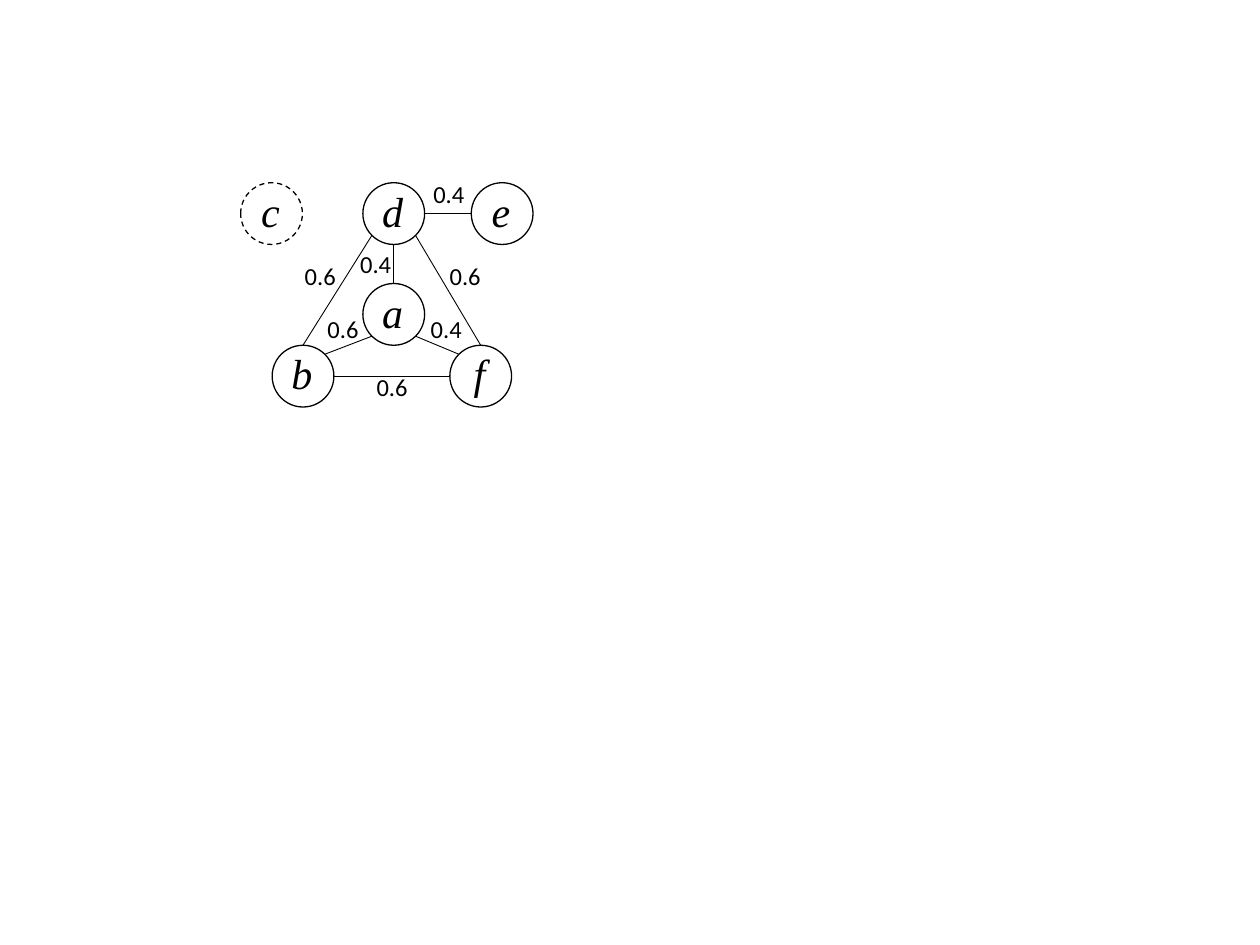
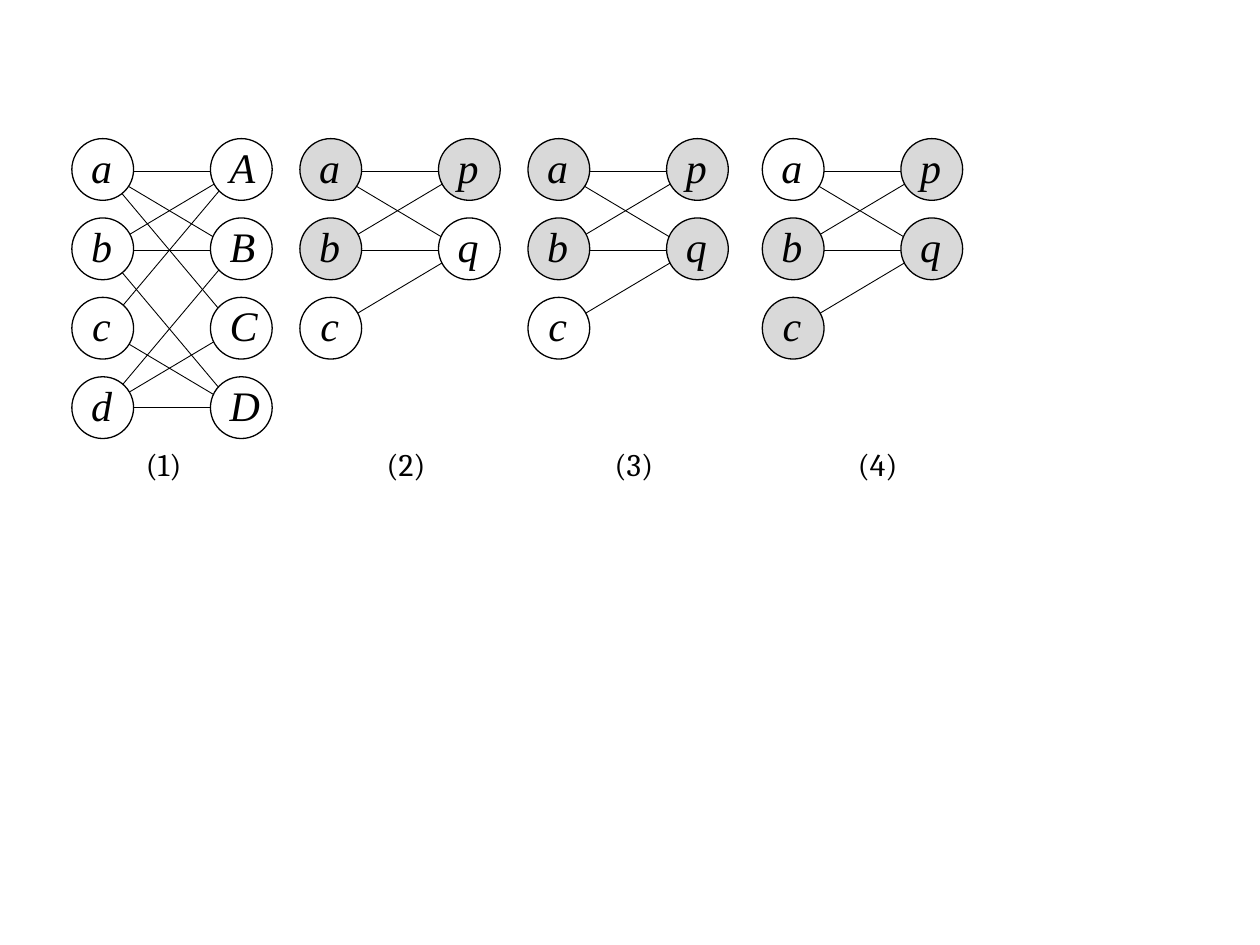
import math

import pptx
import pptx.util
import pptx.dml.color
import pptx.enum.dml
import pptx.enum.shapes
import pptx.enum.text
from pptx.oxml.ns import qn
from lxml import etree

Inches = pptx.util.Inches
Pt = pptx.util.Pt

BLACK = pptx.dml.color.RGBColor(0x00, 0x00, 0x00)
WHITE = pptx.dml.color.RGBColor(0xFF, 0xFF, 0xFF)
GREY = pptx.dml.color.RGBColor(0xD9, 0xD9, 0xD9)

NODE_SIZE = 0.49
NODE_INSETS = (0.08, 0, 0.1, 0.05)

# Directions from a node's centre, in degrees, with y pointing down
RIGHT, LOWER_RIGHT, BOTTOM, LOWER_LEFT, LEFT, TOP = 0, 45, 90, 135, 180, 270
UPPER_LEFT, UPPER_RIGHT = 225, 315

# Weighted graph: left and top of each node
GRAPH_NODES = {
    "f": (3.57, 2.74), "e": (3.74, 1.45), "d": (2.88, 1.45),
    "a": (2.88, 2.25), "c": (1.91, 1.45), "b": (2.16, 2.74),
}
# From node and side, to node and side, weight, left and top of the weight
GRAPH_EDGES = [
    ("a", LOWER_RIGHT, "f", UPPER_LEFT, "0.4", 3.32, 2.44),
    ("d", BOTTOM, "a", TOP, "0.4", 2.76, 1.93),
    ("b", RIGHT, "f", LEFT, "0.6", 2.89, 2.9),
    ("a", LOWER_LEFT, "b", UPPER_RIGHT, "0.6", 2.5, 2.44),
    ("d", LOWER_LEFT, "b", TOP, "0.6", 2.32, 2.02),
    ("d", RIGHT, "e", LEFT, "0.4", 3.34, 1.37),
    ("d", LOWER_RIGHT, "f", TOP, "0.6", 3.47, 2.02),
]

# Bipartite graphs: left, caption, caption left, two columns, edges, grey nodes
FULL_EDGES = "bB bA aB aA cA aC bD cD dB dC dD"
SMALL_EDGES = "bq bp aq ap cq"
BIPARTITE_GRAPHS = [
    (0.57, "(1)", 1.06, "abcd", "ABCD", FULL_EDGES, ""),
    (2.38, "(2)", 2.97, "abc", "pq", SMALL_EDGES, "abp"),
    (4.19, "(3)", 4.78, "abc", "pq", SMALL_EDGES, "abpq"),
    (6.05, "(4)", 6.71, "abc", "pq", SMALL_EDGES, "bcpq"),
]
COLUMN_GAP = 1.1
ROW_TOP, ROW_PITCH = 1.1, 0.63
EDGE_TOP, EDGE_PITCH = 1.36, 0.625
EDGE_INSET, EDGE_WIDTH = 0.25, 1.05
CAPTION_TOP, CAPTION_WIDTH = 3.48, 0.53


def set_text(tf, text, font="Calibri", size=14, italic=False, align=None):
    p = tf.paragraphs[0]
    p.alignment = align
    r = p.add_run()
    r.text = text
    r.font.name = font
    r.font.size = Pt(size)
    r.font.italic = italic
    r.font.color.rgb = BLACK


def add_label(s, text, left, top, width, height, **style):
    tf = s.shapes.add_textbox(Inches(left), Inches(top), Inches(width), Inches(height)).text_frame
    tf.word_wrap = False
    tf.auto_size = pptx.enum.text.MSO_AUTO_SIZE.SHAPE_TO_FIT_TEXT
    set_text(tf, text, **style)


def add_edge(s, start, end):
    line = s.shapes.add_connector(pptx.enum.shapes.MSO_CONNECTOR.STRAIGHT,
                                  *(Inches(v) for v in (*start, *end)))
    line.line.color.rgb = BLACK
    line.line.width = Pt(0.5)
    etree.SubElement(line._element.spPr, qn("a:effectLst"))


def add_node(s, name, left, top, fill=WHITE, dashed=False):
    sp = s.shapes.add_shape(pptx.enum.shapes.MSO_SHAPE.OVAL, Inches(left), Inches(top),
                            Inches(NODE_SIZE), Inches(NODE_SIZE))
    sp.shadow.inherit = False
    sp.fill.solid()
    sp.fill.fore_color.rgb = fill
    sp.line.color.rgb = BLACK
    sp.line.width = Pt(0.75)
    if dashed:
        sp.line.dash_style = pptx.enum.dml.MSO_LINE.DASH
    tf = sp.text_frame
    tf.word_wrap = True
    tf.vertical_anchor = pptx.enum.text.MSO_ANCHOR.MIDDLE
    tf.margin_left, tf.margin_top, tf.margin_right, tf.margin_bottom = map(Inches, NODE_INSETS)
    set_text(tf, name, font="Times New Roman", size=24, italic=True,
             align=pptx.enum.text.PP_ALIGN.CENTER)


def rim_point(name, angle):
    """Point on the rim of a weighted graph's node in the given direction."""
    left, top = GRAPH_NODES[name]
    radius = NODE_SIZE / 2
    return (left + radius * (1 + math.cos(math.radians(angle))),
            top + radius * (1 + math.sin(math.radians(angle))))


def add_weighted_graph(s):
    for start, start_side, end, end_side, *_ in GRAPH_EDGES:
        add_edge(s, rim_point(start, start_side), rim_point(end, end_side))
    for name, (left, top) in GRAPH_NODES.items():
        add_node(s, name, left, top, dashed=name == "c")
    for *_, weight, left, top in GRAPH_EDGES:
        add_label(s, weight, left, top, 0.45, 0.34)


def add_bipartite_graph(s, left, caption, caption_left, firsts, seconds, edges, greys):
    edge_left = left + EDGE_INSET
    for first, second in edges.split():
        add_edge(s, (edge_left, EDGE_TOP + EDGE_PITCH * firsts.index(first)),
                 (edge_left + EDGE_WIDTH, EDGE_TOP + EDGE_PITCH * seconds.index(second)))
    for column, names in enumerate((firsts, seconds)):
        for row, name in enumerate(names):
            add_node(s, name, left + COLUMN_GAP * column, ROW_TOP + ROW_PITCH * row,
                     fill=GREY if name in greys else WHITE)
    add_label(s, caption, caption_left, CAPTION_TOP, CAPTION_WIDTH, 0.4, font="Cambria", size=18)


def main():
    prs = pptx.Presentation()
    prs.slide_width, prs.slide_height = Inches(10), Inches(7.5)
    blank = prs.slide_layouts[6]
    add_weighted_graph(prs.slides.add_slide(blank))
    s = prs.slides.add_slide(blank)
    for graph in BIPARTITE_GRAPHS:
        add_bipartite_graph(s, *graph)
    prs.save("out.pptx")


if __name__ == "__main__":
    main()
